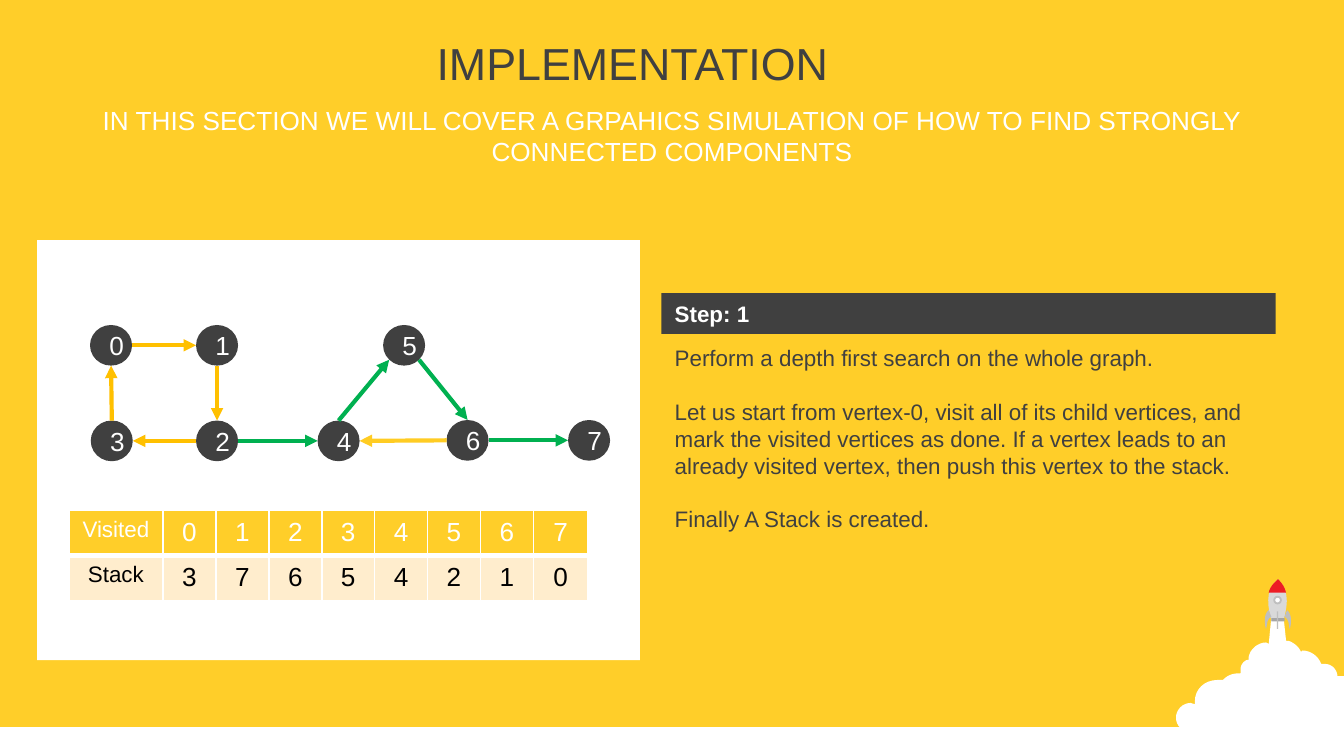
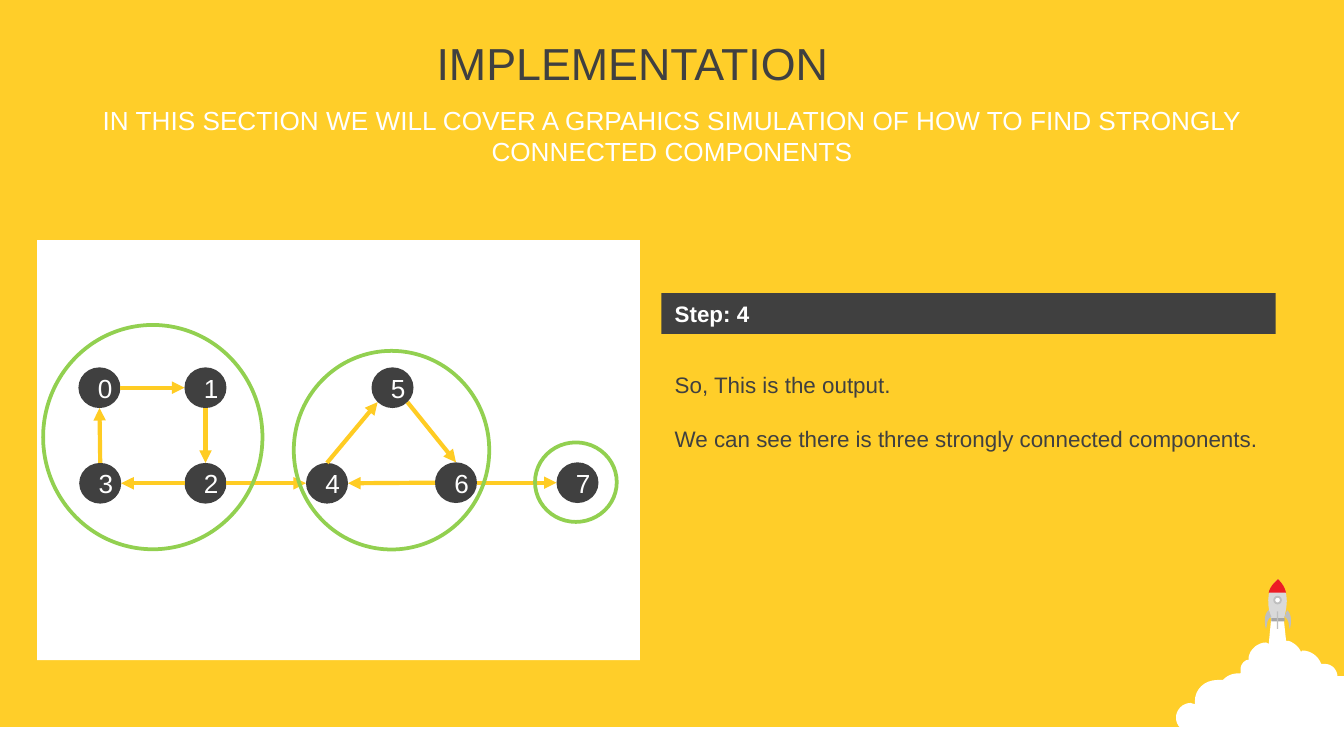
from lxml import etree
from pptx import Presentation
from pptx.dml.color import RGBColor
from pptx.enum.shapes import MSO_CONNECTOR, MSO_SHAPE
from pptx.enum.text import MSO_ANCHOR, PP_ALIGN
from pptx.oxml.ns import qn
from pptx.util import Pt

RECT, OVAL = MSO_SHAPE.RECTANGLE, MSO_SHAPE.OVAL
STRAIGHT = MSO_CONNECTOR.STRAIGHT
LEFT, CENTER = PP_ALIGN.LEFT, PP_ALIGN.CENTER
TOP, MIDDLE = MSO_ANCHOR.TOP, MSO_ANCHOR.MIDDLE

FONT = "Arial"
COLORS = {
    "yellow": "FFCE29", "dark": "404040", "white": "FFFFFF", "black": "000000",
    "amber": "FFC000", "gold": "FFCC23", "green": "00B050", "lime": "92D050",
    "cream": "FFEDCD", "body": "D9D9D9", "fin": "BFBFBF", "strip": "A6A6A6",
    "nose": "ED1C24",
}

# Content
TITLE = "IMPLEMENTATION"
SUBTITLE = ("IN THIS SECTION WE WILL COVER A GRPAHICS SIMULATION OF "
            "HOW TO FIND STRONGLY CONNECTED COMPONENTS")
VISITED = ["Visited", "0", "1", "2", "3", "4", "5", "6", "7"]
STACK = ["Stack", "3", "7", "6", "5", "4", "2", "1", "0"]

# Vertex centres, and edges as (from, side, to, side)
VERTICES = {
    "0": (59.5, 185), "1": (116.3, 185), "5": (216.5, 185),
    "3": (59.9, 236.2), "2": (116.3, 236.2), "4": (181.4, 236.2),
    "6": (250.5, 235.9), "7": (315.6, 235.9),
}
EDGES = [
    ("0", "right", "1", "left"), ("1", "bottom", "2", "top"),
    ("2", "left", "3", "right"), ("3", "top", "0", "bottom"),
    ("2", "right", "4", "left"), ("4", "top", "5", "bottom left"),
    ("6", "right", "7", "left"), ("5", "bottom right", "6", "top"),
    ("6", "left", "4", "right"),
]
SIDES = {"left": (-1, 0), "right": (1, 0), "top": (0, -1), "bottom": (0, 1),
         "bottom left": (-0.71, 0.71), "bottom right": (0.71, 0.71)}

STEPS = [
    {"heading": "Step: 1",
     "body": ["Perform a depth first search on the whole graph.",
              "Let us start from vertex-0, visit all of its child vertices, and "
              "mark the visited vertices as done. If a vertex leads to an already "
              "visited vertex, then push this vertex to the stack.",
              "Finally A Stack is created."],
     "body_top": 180.9, "body_height": 108.7, "graph_shift": (0, 0),
     "edge_colors": ["amber"] * 4 + ["green"] * 4 + ["gold"],
     "table": [VISITED, STACK], "components": []},
    {"heading": "Step: 4",
     "body": ["So, This is the output.",
              "We can see there is three strongly connected components."],
     "body_top": 195.2, "body_height": 51, "graph_shift": (-6.2, 22.7),
     "edge_colors": ["gold"] * len(EDGES),
     "table": None,
     "components": [(23.1, 174.1, 117.5, 120.2), (157.4, 188, 104.7, 106.4),
                    (286.6, 237, 43.8, 42.6)]},
]

# Places
SLIDE_SIZE = (720, 405)
TITLE_BOX = (226.8, 10.9, 232.6, 45.4)
SUBTITLE_BOX = (19.8, 38.7, 680.4, 67.7)
PANEL = (19.85, 128.7, 323, 225)
HEADING_BAND = (354.4, 157.1, 329, 21.8)
GROUND = (0, 389.6, 720, 17)
VERTEX_SIZE = (22.5, 21.8)
TABLE_AT = (36.9, 273.6)
COLUMNS = [50.4] + [28.35] * 7 + [29.2]
ROW_HEIGHT = 24
ROW_RULE = 3
CELL_MARGIN = 5

# Outlines: two numbers are a line's end, six are a curve
CLOUD = [
    (681.1, 330.5), (687.6, 330.5), (689, 343.4), (690.5, 343.4),
    (692.6, 344.2, 694.8, 345.6, 696.2, 347.8), (697, 349.2), (697.7, 348.5),
    (702, 348.5, 706.3, 351.4, 707.8, 355.7), (709.9, 355.7),
    (712.8, 355.7, 715.7, 357.8, 716.4, 361.4), (716.4, 362.2), (720, 362.2),
    (720, 404), (657.4, 404), (643, 392.4), (637.9, 392.4),
    (633.6, 392.4, 630, 388.8, 630, 384.5),
    (630, 380.2, 633.6, 376.6, 637.9, 376.6), (640.1, 377.3), (640.1, 375.8),
    (640.1, 369.4, 645.1, 364.3, 652.3, 364.3), (655.2, 364.3), (655.9, 363.6),
    (658.1, 361.4, 661, 360.7, 664.6, 360.7), (664.6, 358.6),
    (664.6, 356.4, 666, 354.2, 668.2, 353.5), (668.9, 353.5), (668.9, 352.1),
    (669.6, 347.8, 673.9, 344.2, 678.2, 344.2), (679.7, 344.9),
]
HULL = [(681.1, 332.6), (679.7, 326.2, 676.8, 316.8, 684.7, 310.3),
        (691.9, 317.5, 689, 326.9, 687.6, 332.6)]
NOSE = [(684.7, 310.3), (686.9, 312.5, 688.3, 314.6, 689, 317.5),
        (679.7, 317.5), (680.4, 314.6, 682.2, 312.5, 684.7, 310.3)]
LEFT_FIN = [(679.7, 326.9), (681.1, 330.5),
            (678.2, 331.9, 679, 335.5, 678.2, 337),
            (677.5, 334.8, 676.8, 329, 679.7, 326.9)]
ROCKET_AXIS = 684.6
RIGHT_FIN = [tuple(2 * ROCKET_AXIS - v if i % 2 == 0 else v
                   for i, v in enumerate(part)) for part in LEFT_FIN]
STRIP = (681.1, 331.2, 7.2, 1.7)
PORTHOLE = (682.6, 319.7, 3.6, 3.6)
SPINE = (684, 327.6, 0.7, 9.4)


def rgb(name):
    return RGBColor.from_string(COLORS[name])


def points(values):
    return [Pt(v) for v in values]


def write(frame, paragraphs, *, size=12, color="dark", bold=False, align=LEFT,
          anchor=TOP, gap=0):
    """Fill a text frame; gap is the space between its paragraphs."""
    frame.word_wrap = True
    frame.vertical_anchor = anchor
    for i, text in enumerate(paragraphs):
        paragraph = frame.paragraphs[0] if i == 0 else frame.add_paragraph()
        paragraph.alignment = align
        if i and gap:
            paragraph.space_before = Pt(gap)
        run = paragraph.add_run()
        run.text = text
        run.font.name, run.font.size, run.font.bold = FONT, Pt(size), bold
        run.font.color.rgb = rgb(color)


def paint(shape, fill=None, line=None, width=1):
    shape.shadow.inherit = False
    if fill:
        shape.fill.solid()
        shape.fill.fore_color.rgb = rgb(fill)
    else:
        shape.fill.background()
    if line:
        shape.line.color.rgb = rgb(line)
        shape.line.width = Pt(width)
    else:
        shape.line.fill.background()
    return shape


def add_shape(slide, kind, box, **look):
    return paint(slide.shapes.add_shape(kind, *points(box)), **look)


def add_text(slide, box, paragraphs, **style):
    write(slide.shapes.add_textbox(*points(box)).text_frame, paragraphs, **style)


def add_outline(slide, outline, fill, steps=8):
    """Draw a closed outline, its curves cut into short lines."""
    corners = [outline[0]]
    for part in outline[1:]:
        if len(part) == 2:
            corners.append(part)
            continue
        start, c1, c2, end = corners[-1], part[:2], part[2:4], part[4:]
        for k in range(1, steps + 1):
            t = k / steps
            u = 1 - t
            corners.append(tuple(
                u**3 * a + 3 * u * u * t * b + 3 * u * t * t * c + t**3 * d
                for a, b, c, d in zip(start, c1, c2, end)))
    corners = [points(corner) for corner in corners]
    builder = slide.shapes.build_freeform(*corners[0])
    builder.add_line_segments(corners[1:], close=True)
    paint(builder.convert_to_shape(), fill=fill)


def add_arrow(slide, start, end, color):
    arrow = slide.shapes.add_connector(STRAIGHT, *points(start + end))
    arrow.line.color.rgb = rgb(color)
    arrow.line.width = Pt(2.25)
    etree.SubElement(arrow.line._get_or_add_ln(), qn("a:tailEnd"), type="triangle")
    etree.SubElement(arrow._element.spPr, qn("a:effectLst"))


def add_launch(slide):
    add_shape(slide, RECT, GROUND, fill="white")
    add_outline(slide, CLOUD, "white")
    add_outline(slide, HULL, "body")
    add_shape(slide, RECT, STRIP, fill="strip")
    add_outline(slide, NOSE, "nose")
    add_shape(slide, OVAL, PORTHOLE, fill="white", line="fin")
    add_shape(slide, RECT, SPINE, fill="fin")
    for fin in (LEFT_FIN, RIGHT_FIN):
        add_outline(slide, fin, "fin")


def add_graph(slide, shift, edge_colors):
    width, height = VERTEX_SIZE
    centers = {label: (x + shift[0], y + shift[1])
               for label, (x, y) in VERTICES.items()}

    def rim(label, side):
        (x, y), (dx, dy) = centers[label], SIDES[side]
        return x + dx * width / 2, y + dy * height / 2

    for label, (x, y) in centers.items():
        vertex = add_shape(slide, OVAL, (x - width / 2, y - height / 2, width, height),
                           fill="dark")
        write(vertex.text_frame, [label], size=14, color="white",
              align=CENTER, anchor=MIDDLE)
    for (tail, tail_side, head, head_side), color in zip(EDGES, edge_colors):
        add_arrow(slide, rim(tail, tail_side), rim(head, head_side), color)


def set_borders(cell, **widths):
    props = cell._tc.get_or_add_tcPr()
    for side in "LRTB":
        line = etree.SubElement(props, qn(f"a:ln{side}"),
                                w=str(Pt(widths.get(side, 1))))
        fill = etree.SubElement(line, qn("a:solidFill"))
        etree.SubElement(fill, qn("a:srgbClr"), val=COLORS["white"])


def add_order_table(slide, rows):
    table = slide.shapes.add_table(
        len(rows), len(COLUMNS),
        *points(TABLE_AT + (sum(COLUMNS), ROW_HEIGHT * len(rows)))).table
    table.first_row = table.horz_banding = False
    for column, width in zip(table.columns, COLUMNS):
        column.width = Pt(width)
    looks = [("yellow", "white", {"B": ROW_RULE}), ("cream", "black", {"T": ROW_RULE})]
    for r, (texts, (fill, color, rule)) in enumerate(zip(rows, looks)):
        table.rows[r].height = Pt(ROW_HEIGHT)
        for c, text in enumerate(texts):
            cell = table.cell(r, c)
            cell.margin_left = cell.margin_right = Pt(CELL_MARGIN)
            set_borders(cell, **rule)
            cell.fill.solid()
            cell.fill.fore_color.rgb = rgb(fill)
            write(cell.text_frame, [text], size=14 if c else 12, color=color,
                  align=CENTER)


def add_step(prs, step):
    slide = prs.slides.add_slide(prs.slide_layouts[6])
    add_launch(slide)
    add_text(slide, TITLE_BOX, [TITLE], size=24, anchor=MIDDLE)
    add_text(slide, SUBTITLE_BOX, [SUBTITLE], size=14, color="white",
             align=CENTER, anchor=MIDDLE)

    # Explanation on the right
    left, _, width, _ = HEADING_BAND
    add_text(slide, (left, step["body_top"], width, step["body_height"]),
             step["body"], gap=14.4)
    band = add_shape(slide, RECT, HEADING_BAND, fill="dark")
    write(band.text_frame, [step["heading"]], color="white", bold=True)

    # Graph panel on the left
    add_shape(slide, RECT, PANEL, fill="white")
    add_graph(slide, step["graph_shift"], step["edge_colors"])
    if step["table"]:
        add_order_table(slide, step["table"])
    for ring in step["components"]:
        add_shape(slide, OVAL, ring, line="lime", width=2)


def main():
    prs = Presentation()
    prs.slide_width, prs.slide_height = points(SLIDE_SIZE)
    backdrop = prs.slide_master.background.fill
    backdrop.solid()
    backdrop.fore_color.rgb = rgb("yellow")
    for step in STEPS:
        add_step(prs, step)
    prs.save("out.pptx")


if __name__ == "__main__":
    main()
